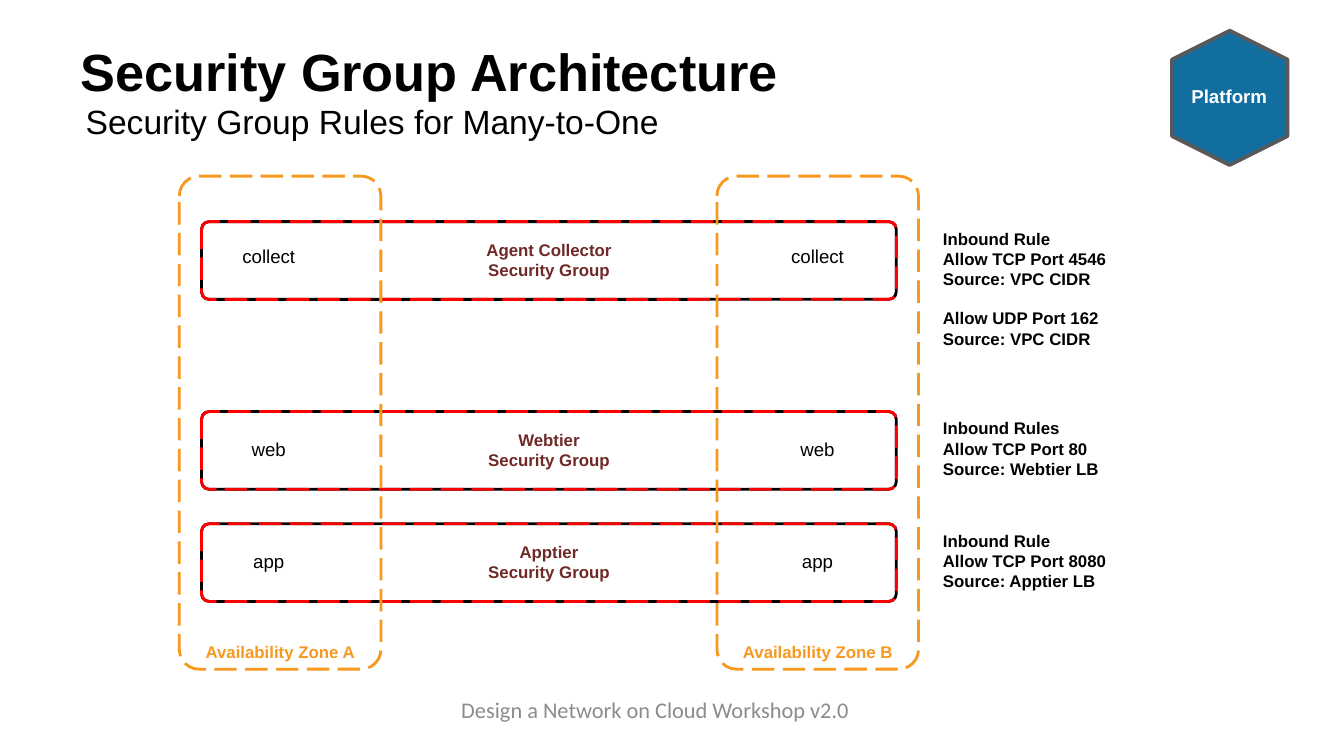
from pptx import Presentation
from pptx.dml.color import RGBColor
from pptx.enum.dml import MSO_LINE
from pptx.enum.shapes import MSO_SHAPE
from pptx.enum.text import MSO_ANCHOR, MSO_AUTO_SIZE, PP_ALIGN
from pptx.util import Cm, Pt

COLORS = {
    "ink": "000000",
    "dash": "FF0000",
    "tier": "6F2927",
    "zone": "F7981F",
    "footer": "8C8C8C",
    "badge": "136EA0",
    "badge_edge": "595959",
    "white": "FFFFFF",
}
SIDES = ("left", "top", "width", "height")


def color(name):
    return RGBColor.from_string(COLORS[name])


class SlideBuilder:
    font_name = "Arial"
    corner = 0.098

    def __init__(self, slide):
        self.slide = slide

    def fill_text(self, frame, blocks, size, ink="ink", bold=False, font=None,
                  align=PP_ALIGN.LEFT, anchor=MSO_ANCHOR.TOP, inset=None,
                  spacing=None, fit=MSO_AUTO_SIZE.NONE):
        frame_format = {"word_wrap": True, "auto_size": fit, "vertical_anchor": anchor}
        if inset is not None:
            for side in ("left", "top", "right", "bottom"):
                frame_format[f"margin_{side}"] = Cm(inset)
        for key, value in frame_format.items():
            setattr(frame, key, value)
        lines = [(line, block > 0 and row == 0)
                 for block, text in enumerate(blocks)
                 for row, line in enumerate(text.split("\n"))]
        font_format = {"name": font or self.font_name, "size": Pt(size), "bold": bold}
        for index, (line, starts_block) in enumerate(lines):
            paragraph = frame.add_paragraph() if index else frame.paragraphs[0]
            paragraph.alignment = align
            if spacing:
                paragraph.line_spacing = spacing
            if starts_block:
                paragraph.space_before = Pt(size * 1.15)
            run = paragraph.add_run()
            run.text = line
            for key, value in font_format.items():
                setattr(run.font, key, value)
            run.font.color.rgb = color(ink)

    def title(self, box, text, **style):
        holder = self.slide.shapes.title
        for side, length in zip(SIDES, box):
            setattr(holder, side, Cm(length))
        self.fill_text(holder.text_frame, [text], anchor=MSO_ANCHOR.MIDDLE, **style)

    def text(self, box, *blocks, **style):
        label = self.slide.shapes.add_textbox(*map(Cm, box))
        self.fill_text(label.text_frame, blocks, **style)

    def outline(self, box, edge, kind=MSO_SHAPE.ROUNDED_RECTANGLE, weight=1.5,
                dash=None, fill=None, rotation=0):
        shape = self.slide.shapes.add_shape(kind, *map(Cm, box))
        shape.shadow.inherit = False
        shape.rotation = rotation
        if kind == MSO_SHAPE.ROUNDED_RECTANGLE:
            shape.adjustments[0] = self.corner
        if fill:
            shape.fill.solid()
            shape.fill.fore_color.rgb = color(fill)
        else:
            shape.fill.background()
        shape.line.color.rgb = color(edge)
        shape.line.width = Pt(weight)
        if dash:
            shape.line.dash_style = dash

    def tier(self, top, host, host_offset, name, rules, rules_height):
        bar = (3.81, top, 13.13, 1.47)
        self.outline(bar, "ink")
        self.outline(bar, "dash", dash=MSO_LINE.LONG_DASH)
        self.text((5.51, top + 0.21, 9.73, 1.02), f"{name}\nSecurity Group",
                  size=9, ink="tier", bold=True, align=PP_ALIGN.CENTER,
                  fit=MSO_AUTO_SIZE.SHAPE_TO_FIT_TEXT)
        for left in (3.81, 14.18):
            self.text((left, top + host_offset, 2.54, 0.43), host, size=10,
                      inset=0, align=PP_ALIGN.CENTER,
                      fit=MSO_AUTO_SIZE.SHAPE_TO_FIT_TEXT)
        self.text((17.57, top, 4.65, rules_height), *rules, size=9, bold=True,
                  fit=MSO_AUTO_SIZE.SHAPE_TO_FIT_TEXT)

    def zone(self, left, name):
        self.outline((left, 3.33, 3.81, 9.32), "zone", dash=MSO_LINE.LONG_DASH)
        self.text((left + 0.21, 12.01, 3.39, 0.64), name, size=9, ink="zone",
                  bold=True, align=PP_ALIGN.CENTER,
                  fit=MSO_AUTO_SIZE.SHAPE_TO_FIT_TEXT)

    def badge(self, name):
        self.outline((21.97, 0.76, 2.54, 2.18), "badge_edge", MSO_SHAPE.HEXAGON,
                     weight=2, fill="badge", rotation=90)
        self.text((22.25, 1.55, 1.96, 0.53), name, size=10, ink="white",
                  bold=True, align=PP_ALIGN.CENTER, anchor=MSO_ANCHOR.MIDDLE,
                  inset=0)


def main():
    deck = Presentation()
    deck.slide_width, deck.slide_height = Cm(25.4), Cm(14.29)
    page = SlideBuilder(deck.slides.add_slide(deck.slide_layouts[5]))

    page.title((1.27, 0.58, 22.86, 1.5), "Security Group Architecture",
               size=28, bold=True)
    page.text((7.62, 12.85, 9.53, 1.14), "Design a Network on Cloud Workshop v2.0",
              size=12, ink="footer", font="Calibri", align=PP_ALIGN.CENTER,
              anchor=MSO_ANCHOR.MIDDLE)
    page.text((1.47, 1.85, 19.69, 1.07), "Security Group Rules for Many-to-One",
              size=18, inset=0.15, spacing=0.9)

    tiers = [
        (4.19, "collect", 0.43, "Agent Collector",
         ["Inbound Rule\nAllow TCP Port 4546\nSource: VPC CIDR",
          "Allow UDP Port 162\nSource: VPC CIDR"], 2.57),
        (7.78, "web", 0.5, "Webtier",
         ["Inbound Rules\nAllow TCP Port 80\nSource: Webtier LB"], 1.42),
        (9.9, "app", 0.5, "Apptier",
         ["Inbound Rule\nAllow TCP Port 8080\nSource: Apptier LB"], 1.42),
    ]
    for tier in tiers:
        page.tier(*tier)
    for left, letter in ((3.39, "A"), (13.55, "B")):
        page.zone(left, f"Availability Zone {letter}")
    page.badge("Platform")

    deck.save("out.pptx")


if __name__ == "__main__":
    main()
